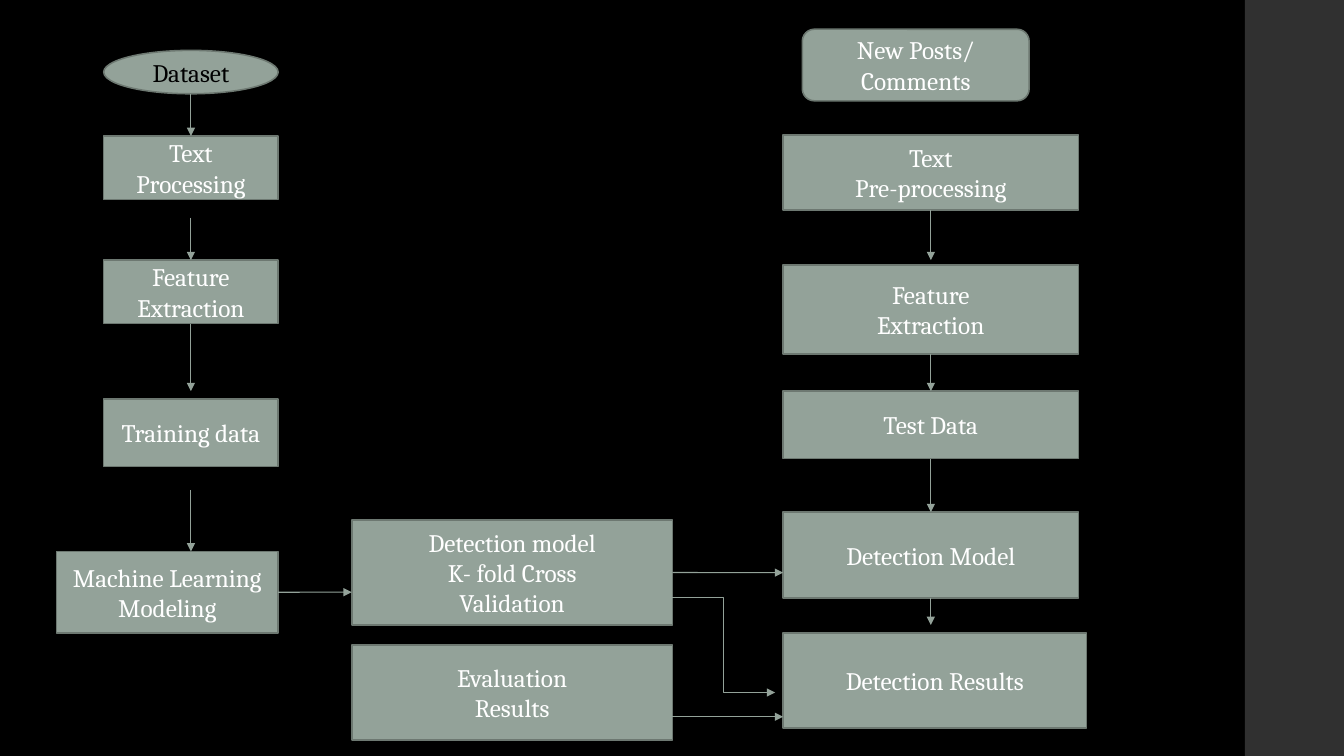
import pptx
import pptx.dml.color
import pptx.enum.shapes
import pptx.enum.text
import pptx.oxml
import pptx.oxml.ns
import pptx.util

Pt = pptx.util.Pt
RGB = pptx.dml.color.RGBColor
SHAPE = pptx.enum.shapes.MSO_SHAPE
CONNECTOR = pptx.enum.shapes.MSO_CONNECTOR

BLACK = RGB(0x00, 0x00, 0x00)
WHITE = RGB(0xFF, 0xFF, 0xFF)
SAGE = RGB(0x93, 0xA2, 0x99)
SAGE_DARK = RGB(0x6D, 0x78, 0x71)
CHARCOAL = RGB(0x30, 0x30, 0x30)

TOP, LEFT, BOTTOM, RIGHT = range(4)


def write_text(sp, text, size=18, color=WHITE, font="Cambria"):
    """Fill a shape with centred text, one paragraph per line."""
    tf = sp.text_frame
    tf.word_wrap = True
    tf.vertical_anchor = pptx.enum.text.MSO_ANCHOR.MIDDLE
    for i, line in enumerate(text.split("\n")):
        p = tf.paragraphs[0] if i == 0 else tf.add_paragraph()
        p.alignment = pptx.enum.text.PP_ALIGN.CENTER
        r = p.add_run()
        r.text = line
        r.font.size = Pt(size)
        r.font.name = font
        r.font.color.rgb = color


def add_node(s, text, x, y, w, h, kind=SHAPE.RECTANGLE, color=WHITE):
    sp = s.shapes.add_shape(kind, Pt(x), Pt(y), Pt(w), Pt(h))
    sp.shadow.inherit = False
    sp.fill.solid()
    sp.fill.fore_color.rgb = SAGE
    sp.line.color.rgb = SAGE_DARK
    sp.line.width = Pt(1.1)
    write_text(sp, text, color=color)
    return sp


def add_arrow(s, x1, y1, x2, y2, start=None, end=None, kind=CONNECTOR.STRAIGHT):
    """Draw an arrow; start and end are optional (shape, side) joints."""
    c = s.shapes.add_connector(kind, Pt(x1), Pt(y1), Pt(x2), Pt(y2))
    c.line.color.rgb = SAGE
    c.line.width = Pt(0.75)
    ln = c.line._get_or_add_ln()
    ns = pptx.oxml.ns.nsdecls("a")
    ln.append(pptx.oxml.parse_xml(f'<a:tailEnd {ns} type="triangle"/>'))
    c._element.spPr.append(pptx.oxml.parse_xml(f"<a:effectLst {ns}/>"))
    if start:
        c.begin_connect(*start)
    if end:
        c.end_connect(*end)


def add_side_bar(s, x, y, w, h):
    bar = s.shapes.add_shape(SHAPE.RECTANGLE, Pt(x), Pt(y), Pt(w), Pt(h))
    bar.shadow.inherit = False
    bar.fill.solid()
    bar.fill.fore_color.rgb = CHARCOAL
    bar.line.fill.background()


def training_column(s, x, y, w, h):
    """Draw the dataset-to-model steps and return the modeling box."""
    step_w, model_h = 124.6, 58.3
    step_x = x + w - step_w
    cx = step_x + step_w / 2
    add_node(s, "Dataset", step_x, y, step_w, 31, SHAPE.OVAL, BLACK)
    processing = add_node(s, "Text\nProcessing", step_x, y + 61.2, step_w, 45.4)
    features = add_node(s, "Feature\nExtraction", step_x, y + 149.8, step_w, 45.4)
    add_node(s, "Training data", step_x, y + 249.1, step_w, 48.2)
    modeling = add_node(s, "Machine Learning\nModeling", x, y + h - model_h, w, model_h)
    add_arrow(s, cx, y + 31, cx, y + 61.2, end=(processing, TOP))
    add_arrow(s, cx, y + 119.5, cx, y + 149.8, end=(features, TOP))
    add_arrow(s, cx, y + 195.2, cx, y + 243.4, start=(features, BOTTOM))
    add_arrow(s, cx, y + 313.9, cx, y + h - model_h)
    return modeling


def validation_column(s, x, y, w, h):
    """Draw the two middle boxes and return the upper one."""
    model_h, results_h = 74.9, 67.7
    model = add_node(s, "Detection model\nK- fold Cross\nValidation", x, y, w, model_h)
    add_node(s, "Evaluation\nResults", x, y + h - results_h, w, results_h)
    return model


def detection_column(s, x, y, w, h):
    add_node(s, "New Posts/\nComments", x + 13.7, y, 162, 51.1, SHAPE.ROUNDED_RECTANGLE)
    steps = [("Text\nPre-processing", 75.6, 53.5), ("Feature\nExtraction", 168.5, 63.4),
             ("Test Data", 258.5, 48.2), ("Detection Model", 344.9, 61.2)]
    pre, features, test, model = [
        add_node(s, text, x, y + top, w, height) for text, top, height in steps]
    results_h = 67.7
    add_node(s, "Detection Results", x, y + h - results_h, w + 5.7, results_h)
    cx = x + w / 2
    add_arrow(s, cx, y + 129.1, cx, y + 164.9, start=(pre, BOTTOM))
    for upper, lower in [(features, test), (test, model)]:
        add_arrow(s, cx, y, cx, y, start=(upper, BOTTOM), end=(lower, TOP))
    add_arrow(s, cx, y + 406.1, cx, y + 425.5, start=(model, BOTTOM))


def link_columns(s, modeling, model, x1, x2, x3):
    """Join the columns: x1 is the middle's left, x2 its right, x3 the next left."""
    modeling_y, model_y, evaluation_y = 423, 409, 512
    add_arrow(s, x1, modeling_y, x1, modeling_y, start=(modeling, RIGHT))
    add_arrow(s, x2, model_y, x3, model_y, start=(model, RIGHT))
    add_arrow(s, x2, 427, x3 - 5.7, 494.6, kind=CONNECTOR.ELBOW)
    add_arrow(s, x2, evaluation_y, x3, evaluation_y)


def main():
    prs = pptx.Presentation()
    prs.slide_width, prs.slide_height = Pt(960), Pt(540)
    s = prs.slides.add_slide(prs.slide_layouts[6])
    s.background.fill.solid()
    s.background.fill.fore_color.rgb = BLACK
    add_side_bar(s, 889.2, 0, 70.8, 540)
    modeling = training_column(s, 40.3, 36, 158.4, 416.2)
    model = validation_column(s, 251.3, 371.5, 229, 157)
    detection_column(s, 559.4, 20.9, 211, 499)
    link_columns(s, modeling, model, 251.3, 480.3, 559.4)
    prs.save("out.pptx")


if __name__ == "__main__":
    main()
